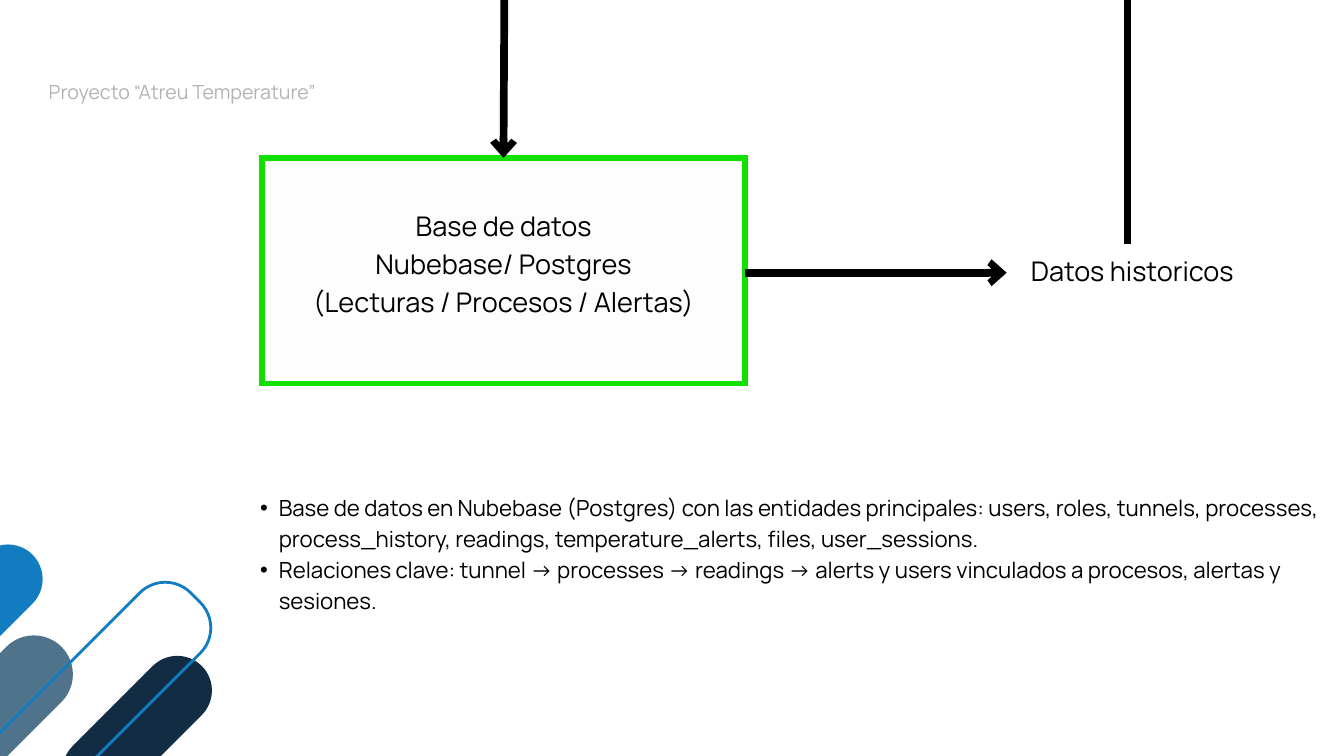
"""Builds the database slide of the temperature project deck."""
from lxml.etree import SubElement
from pptx import Presentation
from pptx.dml.color import RGBColor
from pptx.enum.shapes import MSO_CONNECTOR as Connector, MSO_SHAPE as Shape
from pptx.enum.text import PP_ALIGN as Align
from pptx.oxml.ns import qn
from pptx.util import Cm, Pt


def paint(fill, color):
    fill.solid()
    fill.fore_color.rgb = RGBColor.from_string(color)


def add_text(page, place, lines, size, spacing, bullet=None):
    box = page.shapes.add_textbox(*[Cm(value) for value in place])
    frame = box.text_frame
    frame.word_wrap = True
    frame.margin_left = frame.margin_right = frame.margin_top = frame.margin_bottom = 0
    for index, line in enumerate(lines):
        para = frame.paragraphs[0] if index == 0 else frame.add_paragraph()
        if bullet:
            para.level = 1
            props = para._p.get_or_add_pPr()
            props.set("marL", str(Cm(1.42)))
            props.set("indent", str(Cm(-0.71)))
            SubElement(props, qn("a:buFont"), typeface="Arial")
            SubElement(props, qn("a:buChar"), char=bullet)
        para.alignment = Align.LEFT if bullet else Align.CENTER
        para.line_spacing = Pt(spacing)
        span = para.add_run()
        span.text = line
        span.font.name = "Manrope"
        span.font.size = Pt(size)
        paint(span.font.fill, "000000")
    return box


deck = Presentation()
deck.slide_width, deck.slide_height = Cm(50.8), Cm(28.58)
page = deck.slides.add_slide(deck.slide_layouts[6])

header = add_text(page, (-1.27, 2.87, 16.31, 0.99), ["Proyecto “Atreu Temperature”"], 21, 29.4)
for color in header._element.iter(qn("a:srgbClr")):
    SubElement(color, qn("a:alpha"), val="30000")

database = page.shapes.add_shape(Shape.RECTANGLE, Cm(9.91), Cm(5.97), Cm(18.24), Cm(8.53))
database.shadow.inherit = False
paint(database.fill, "FDFDFD")
paint(database.line.fill, "12E100")
database.line.width = Pt(6)
SubElement(database._element.spPr.get_or_add_ln(), qn("a:miter"), lim="800000")

pills = [
    (-10.77, 28.4, 15.34, 2.95, 0.5, "4E738A", None),
    (1.73, 26.31, 6.91, 2.62, 0.5, "122C44", None),
    (-9.35, 27.91, 19.61, 3.23, 0.42, None, "117CC2"),
    (-4.67, 22.1, 6.91, 2.62, 0.5, "137CC1", None),
]
for left, top, width, height, rounding, fill, outline in pills:
    pill = page.shapes.add_shape(Shape.ROUNDED_RECTANGLE, Cm(left), Cm(top), Cm(width), Cm(height))
    pill.shadow.inherit = False
    pill.adjustments[0] = rounding
    pill.rotation = 315
    if fill:
        paint(pill.fill, fill)
        pill.line.fill.background()
    else:
        pill.fill.background()
        paint(pill.line.fill, outline)
        pill.line.width = Pt(3)

arrows = [
    (19.1, -6.78, 19.03, 5.97),
    (28.15, 10.31, 38.05, 10.31),
    (42.62, 9.22, 42.62, -3.51),
]
for ends in arrows:
    arrow = page.shapes.add_connector(Connector.STRAIGHT, *[Cm(value) for value in ends])
    paint(arrow.line.fill, "000000")
    arrow.line.width = Pt(8.25)
    props = arrow._element.spPr
    SubElement(props.get_or_add_ln(), qn("a:tailEnd"), type="arrow", w="med", len="sm")
    SubElement(props, qn("a:effectLst"))

add_text(page, (10.57, 7.72, 16.94, 4.29),
         ["Base de datos", "Nubebase/ Postgres", "(Lecturas / Procesos / Alertas)"], 29, 40.6)
add_text(page, (36.45, 9.42, 12.7, 1.45), ["Datos historicos"], 29, 40.6)
add_text(page, (9.12, 18.52, 41.68, 4.72), [
    "Base de datos en Nubebase (Postgres) con las entidades principales: users, roles, tunnels, "
    "processes, process_history, readings, temperature_alerts, files, user_sessions.",
    "Relaciones clave: tunnel → processes → readings → alerts y users vinculados a procesos, "
    "alertas y sesiones.",
], 23.8, 33.3, bullet="•")

deck.save("out.pptx")
